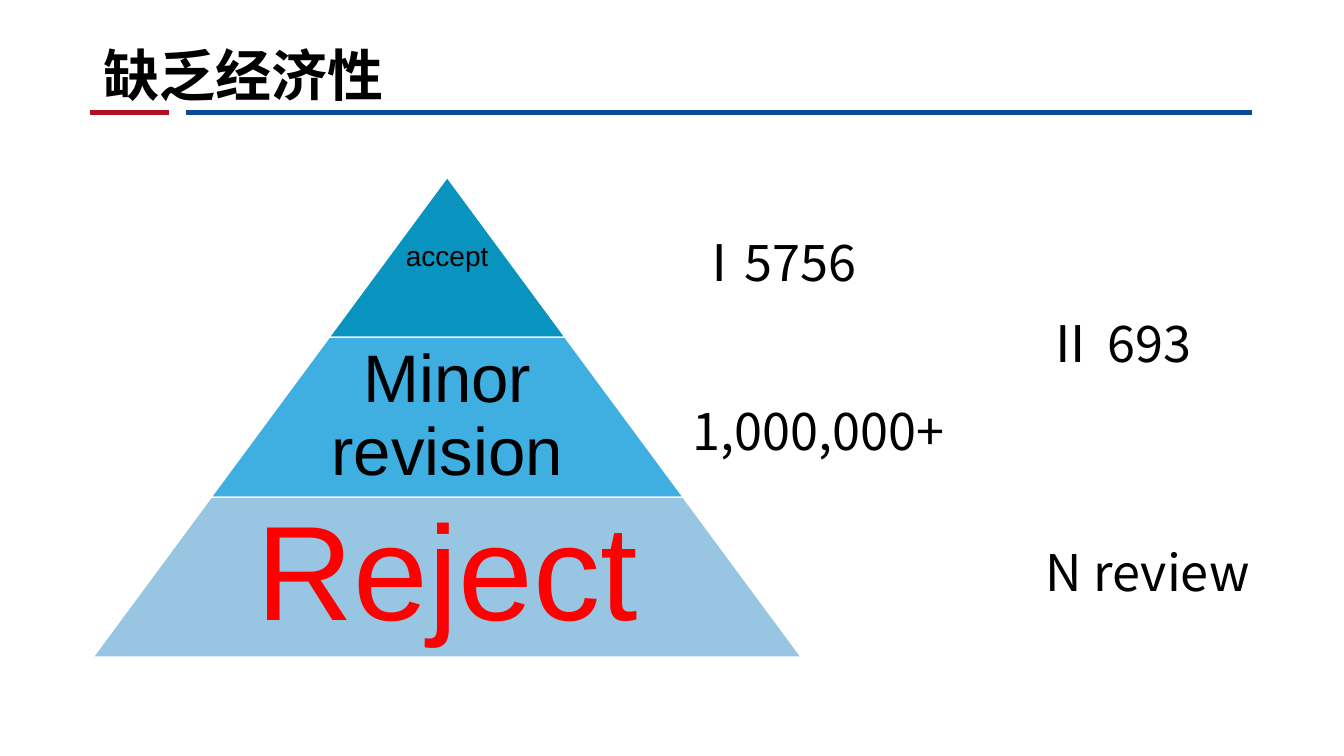
import pptx
import pptx.util
import pptx.dml.color
import pptx.enum.shapes
import pptx.enum.text
import pptx.oxml.ns
from lxml import etree

Cm = pptx.util.Cm
Pt = pptx.util.Pt
SHAPE = pptx.enum.shapes.MSO_SHAPE
ANCHOR = pptx.enum.text.MSO_ANCHOR
ALIGN = pptx.enum.text.PP_ALIGN


def rgb(value):
    return pptx.dml.color.RGBColor.from_string(value)


class Deck:
    """Holds the presentation, the current slide and its style."""

    title_format = {"name": "Arial Narrow", "size": Pt(40), "bold": True}
    tier_format = {"name": "Arial"}
    label_format = {"name": "Noto Sans CJK SC", "size": Pt(36)}

    def __init__(self, width, height):
        self.prs = pptx.Presentation()
        self.prs.slide_width, self.prs.slide_height = Cm(width), Cm(height)
        self.s = self.prs.slides.add_slide(self.prs.slide_layouts[5])

    def fill_text(self, sp, text, fmt, color="000000", align=ALIGN.LEFT,
                  anchor=ANCHOR.TOP, inset=None, spacing=None):
        tf = sp.text_frame
        frame = {"word_wrap": True, "vertical_anchor": anchor,
                 "auto_size": pptx.enum.text.MSO_AUTO_SIZE.NONE}
        if inset is not None:
            for side in ("left", "top", "right", "bottom"):
                frame[f"margin_{side}"] = Cm(inset)
        for key, value in frame.items():
            setattr(tf, key, value)
        p = tf.paragraphs[0]
        p.alignment, p.line_spacing = align, spacing
        r = p.add_run()
        r.text = text
        for key, value in fmt.items():
            setattr(r.font, key, value)
        r.font.color.rgb = rgb(color)

    def title(self, text, x, y, w, h):
        sp = self.s.shapes.title
        for key, value in {"left": x, "top": y, "width": w, "height": h}.items():
            setattr(sp, key, Cm(value))
        self.fill_text(sp, text, self.title_format, anchor=ANCHOR.BOTTOM, spacing=1.0)

    def rule(self, x1, x2, y, color):
        line = self.s.shapes.add_connector(
            pptx.enum.shapes.MSO_CONNECTOR.STRAIGHT, Cm(x1), Cm(y), Cm(x2), Cm(y))
        line.line.color.rgb = rgb(color)
        line.line.width = Pt(3.5)
        etree.SubElement(line._element.spPr, pptx.oxml.ns.qn("a:effectLst"))

    def text(self, text, x, y, w, h, fmt, **options):
        sp = self.s.shapes.add_textbox(Cm(x), Cm(y), Cm(w), Cm(h))
        self.fill_text(sp, text, fmt, **options)

    def tier(self, text, center, y, w, h, fill, text_w, size, color, inset):
        sp = self.s.shapes.add_shape(
            SHAPE.TRAPEZOID, Cm(center - w / 2), Cm(y), Cm(w), Cm(h))
        sp.adjustments[0] = 0.739
        sp.shadow.inherit = False
        sp.fill.solid()
        sp.fill.fore_color.rgb = rgb(fill)
        sp.line.color.rgb = rgb("FFFFFF")
        sp.line.width = Pt(1)
        self.text(text, center - text_w / 2, y, text_w, h,
                  {**self.tier_format, "size": Pt(size)}, color=color,
                  align=ALIGN.CENTER, anchor=ANCHOR.MIDDLE, inset=inset, spacing=0.9)


def main():
    deck = Deck(33.87, 19.05)
    deck.rule(2.27, 4.25, 2.84, "AE1324")
    deck.rule(4.68, 31.55, 2.84, "0C4994")
    deck.title("缺乏经济性", 2.35, 0, 29.2, 2.84)

    center, top, step, height = 11.27, 4.47, 5.95, 4.03
    tiers = [
        ("accept", "0994C0", 5.95, 20, "000000", 0.07),
        ("Minor revision", "3FAFE2", 7.74, 48, "000000", 0.17),
        ("Reject", "97C5E2", 11.6, 96, "FF0000", 0.34),
    ]
    for i, (text, fill, text_w, size, color, inset) in enumerate(tiers):
        deck.tier(text, center, top + i * height, step * (i + 1), height,
                  fill, text_w, size, color, inset)

    for text, x, y, w in [
        ("Ⅰ5756", 17.25, 5.69, 6.15),
        ("Ⅱ 693", 26.11, 7.73, 6.05),
        ("1,000,000+", 17.2, 9.95, 7.6),
        ("N review", 26.11, 13.52, 6.05),
    ]:
        deck.text(text, x, y, w, 1.8, deck.label_format)

    deck.prs.save("out.pptx")


if __name__ == "__main__":
    main()
